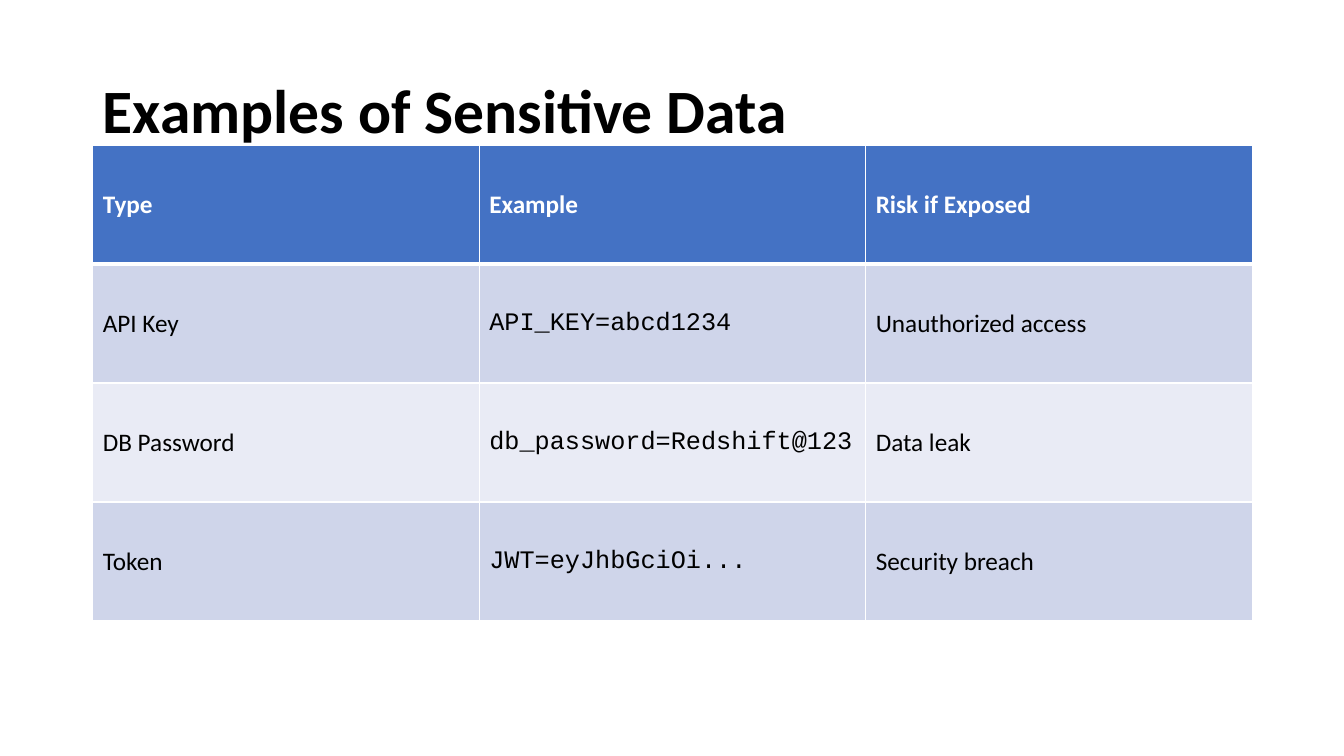
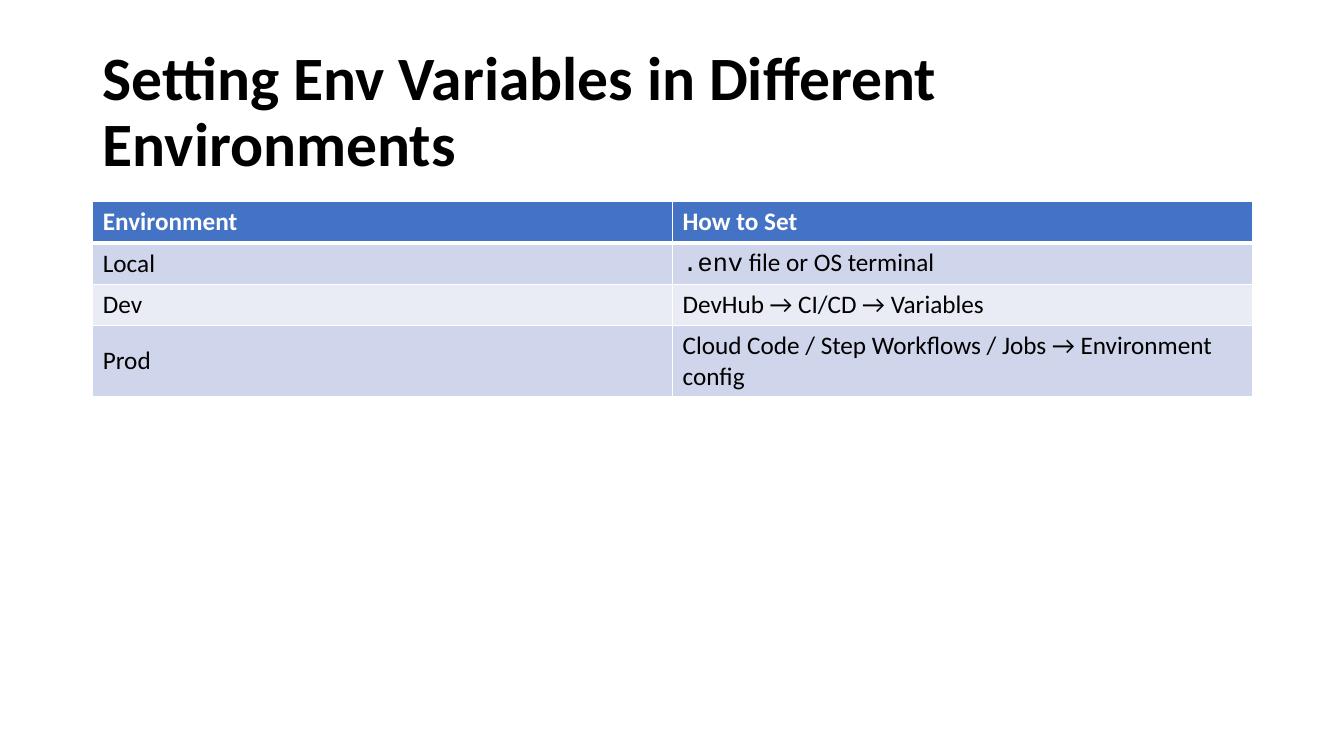
from lxml.etree import SubElement as Sub
from pptx import Presentation
from pptx.dml.color import RGBColor as Rgb
from pptx.enum.text import MSO_ANCHOR as Anchor
from pptx.oxml.ns import qn
from pptx.util import Inches, Pt

WIDE, HIGH = 13.33, 7.5
LEFT, SPAN = 0.92, 11.5
COLS = dict(ink="000000", paper="FFFFFF", head="4472C4", odd="CFD5EA", even="E9EBF5")
SANS, MONO = "Calibri", "Courier New"

TABLES = [
    dict(
        title="Examples of Sensitive Data",
        box=(LEFT, 1.44, SPAN, 4.72),
        rows=[
            ("Type", "Example", "Risk if Exposed"),
            ("API Key", "`API_KEY=abcd1234`", "Unauthorized access"),
            ("DB Password", "`db_password=Redshift@123`", "Data leak"),
            ("Token", "`JWT=eyJhbGciOi...`", "Security breach"),
        ],
    ),
    dict(
        title="Setting Env Variables in Different Environments",
        box=(LEFT, 2, SPAN, 1.64),
        rows=[
            ("Environment", "How to Set"),
            ("Local", "`.env` file or OS terminal"),
            ("Dev", "DevHub → CI/CD → Variables"),
            ("Prod", "Cloud Code / Step Workflows / Jobs → Environment config"),
        ],
    ),
]


def write(frame, text, size=18, color="ink", bold=False, lead=None):
    """Fill a text frame, setting parts between backticks in the code font."""
    para = frame.paragraphs[0]
    if lead:
        para.line_spacing = lead
    for num, part in enumerate(text.split("`")):
        if part:
            run = para.add_run()
            run.text = part
            font = run.font
            font.name = MONO if num % 2 else SANS
            font.size, font.bold = Pt(size), bold
            font.color.rgb = Rgb.from_string(COLS[color])


def edge(cell, **sides):
    """Draw white cell borders of the given widths in points."""
    props = cell._tc.get_or_add_tcPr()
    for side, width in sides.items():
        line = Sub(props, qn(f"a:ln{side}"), w=str(Pt(width)))
        Sub(Sub(line, qn("a:solidFill")), qn("a:srgbClr"), val=COLS["paper"])


def head(slide, text):
    """Place the slide title in its shared box."""
    box = slide.shapes.add_textbox(*map(Inches, (LEFT, 0.4, SPAN, 1.45)))
    frame = box.text_frame
    frame.word_wrap, frame.vertical_anchor = True, Anchor.MIDDLE
    write(frame, text, size=44, bold=True, lead=0.9)


def grid(slide, rows, box):
    """Place a table of equal columns and rows with a header and bands."""
    wide, high = len(rows[0]), len(rows)
    table = slide.shapes.add_table(high, wide, *map(Inches, box)).table
    for col in table.columns:
        col.width = Inches(box[2] / wide)
    for row, texts in enumerate(rows):
        table.rows[row].height = Inches(box[3] / high)
        top = row == 0
        band = "head" if top else ("even", "odd")[row % 2]
        for col, text in enumerate(texts):
            cell = table.cell(row, col)
            cell.vertical_anchor = Anchor.MIDDLE
            edge(cell, L=1, R=1, T=3 if row == 1 else 1, B=3 if top else 1)
            cell.fill.solid()
            cell.fill.fore_color.rgb = Rgb.from_string(COLS[band])
            write(cell.text_frame, text, color="paper" if top else "ink", bold=top)


def main():
    """Build and save the deck."""
    deck = Presentation()
    deck.slide_width, deck.slide_height = Inches(WIDE), Inches(HIGH)
    for item in TABLES:
        slide = deck.slides.add_slide(deck.slide_layouts[6])
        head(slide, item["title"])
        grid(slide, item["rows"], item["box"])
    deck.save("out.pptx")


if __name__ == "__main__":
    main()
